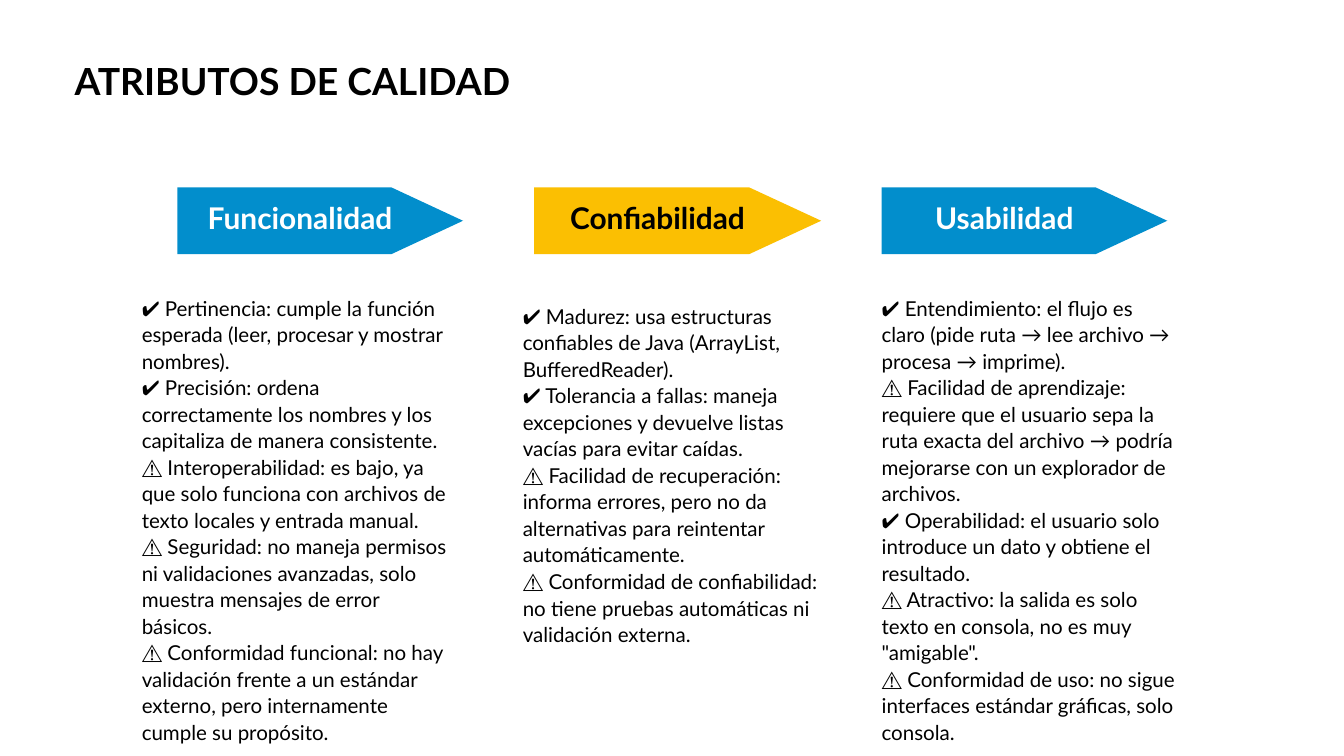
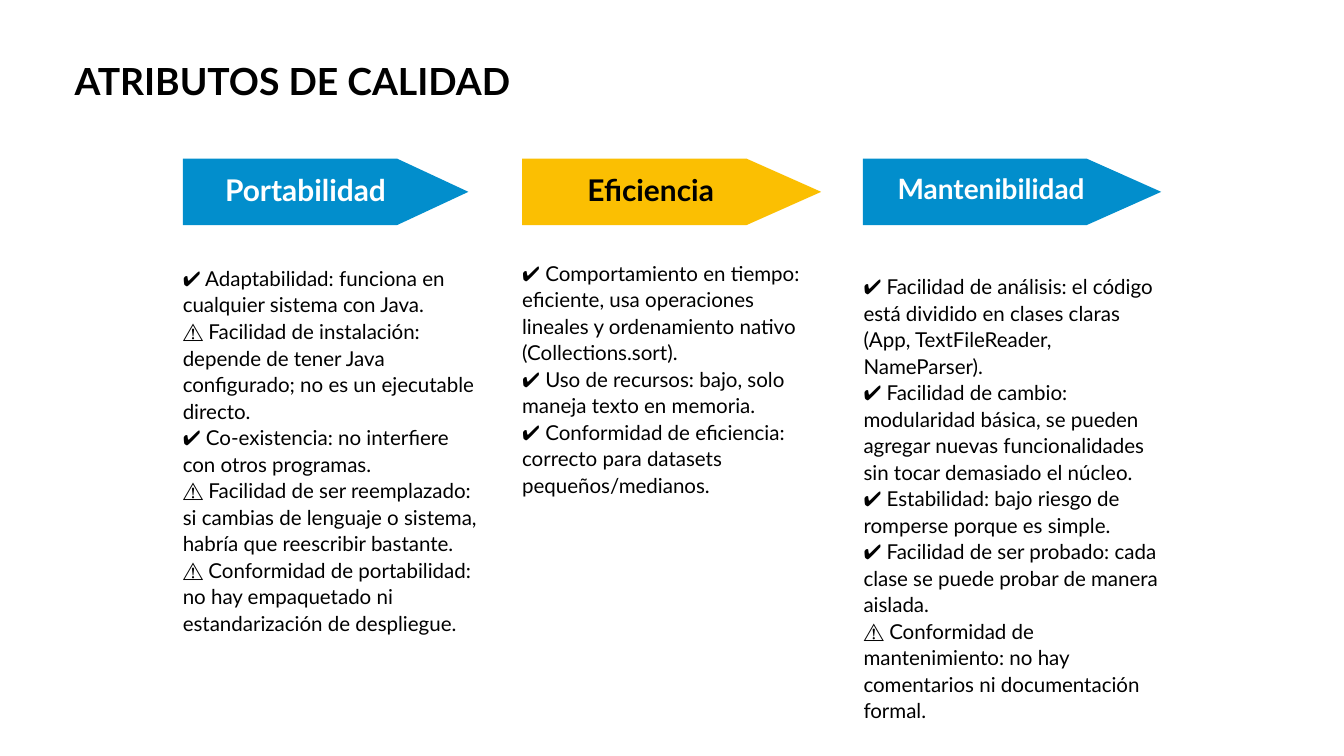
from dataclasses import dataclass

import pptx
import pptx.dml.color
import pptx.enum.text
import pptx.util

Inches = pptx.util.Inches
Pt = pptx.util.Pt
RGBColor = pptx.dml.color.RGBColor
Align = pptx.enum.text.PP_ALIGN
Anchor = pptx.enum.text.MSO_ANCHOR
AutoSize = pptx.enum.text.MSO_AUTO_SIZE

# Shared style
BLUE = RGBColor(0x02, 0x8E, 0xCC)
YELLOW = RGBColor(0xFB, 0xBF, 0x02)
WHITE = RGBColor(0xFF, 0xFF, 0xFF)
BLACK = RGBColor(0x00, 0x00, 0x00)
FONT = "Lato"
TITLE = "ATRIBUTOS DE CALIDAD"
ARROW_HEIGHT = 0.99
TIP_SHARE = 0.25
LABEL_SHARE = 0.86
LABEL_PADDING = 0.06
CRITERIA_LINE = 28.4


@dataclass(frozen=True)
class Area:
    left: float
    top: float
    width: float
    height: float

    def lengths(self) -> list[int]:
        return [Inches(n) for n in (self.left, self.top, self.width, self.height)]


@dataclass(frozen=True)
class TextStyle:
    size: float
    line: float
    color: RGBColor = BLACK
    bold: bool = False
    align: Align = Align.LEFT


@dataclass(frozen=True)
class Attribute:
    name: str
    arrow_left: float
    arrow_width: float
    criteria_area: Area
    criteria: tuple[str, ...]
    fill: RGBColor = BLUE
    label_color: RGBColor = WHITE
    label_size: float = 32
    label_height: float = 1.16
    criteria_inset: float = 0


@dataclass(frozen=True)
class Page:
    arrow_top: float
    attributes: tuple[Attribute, ...]


TITLE_AREA = Area(1.11, 0.76, 13.56, 0.75)
TITLE_STYLE = TextStyle(40, 56, bold=True)
CRITERIA_STYLE = TextStyle(22, CRITERIA_LINE)
LOWERED = CRITERIA_LINE / 72  # one line of space above the criteria

PAGES = (
    Page(2.79, (
        Attribute("Funcionalidad", 2.64, 4.25, Area(2.11, 4.37, 4.57, 6.17), (
            "✔️ Pertinencia: cumple la función esperada (leer, procesar y mostrar nombres).",
            "✔️ Precisión: ordena correctamente los nombres y los capitaliza de manera consistente.",
            "⚠️ Interoperabilidad: es bajo, ya que solo funciona con archivos de texto locales y entrada manual.",
            "⚠️ Seguridad: no maneja permisos ni validaciones avanzadas, solo muestra mensajes de error básicos.",
            "⚠️ Conformidad funcional: no hay validación frente a un estándar externo, "
            "pero internamente cumple su propósito.",
        )),
        Attribute("Confiabilidad", 7.95, 4.27, Area(7.78, 4.1, 4.44, 5.4), (
            "✔️ Madurez: usa estructuras confiables de Java (ArrayList, BufferedReader).",
            "✔️ Tolerancia a fallas: maneja excepciones y devuelve listas vacías para evitar caídas.",
            "⚠️ Facilidad de recuperación: informa errores, pero no da alternativas para reintentar automáticamente.",
            "⚠️ Conformidad de confiabilidad: no tiene pruebas automáticas ni validación externa.",
        ), fill=YELLOW, label_color=BLACK, criteria_inset=LOWERED),
        Attribute("Usabilidad", 13.12, 4.25, Area(13.12, 4.37, 4.44, 6.56), (
            "✔️ Entendimiento: el flujo es claro (pide ruta → lee archivo → procesa → imprime).",
            "⚠️ Facilidad de aprendizaje: requiere que el usuario sepa la ruta exacta del archivo → "
            "podría mejorarse con un explorador de archivos.",
            "✔️ Operabilidad: el usuario solo introduce un dato y obtiene el resultado.",
            '⚠️ Atractivo: la salida es solo texto en consola, no es muy "amigable".',
            "⚠️ Conformidad de uso: no sigue interfaces estándar gráficas, solo consola.",
        )),
    )),
    Page(2.36, (
        Attribute("Portabilidad", 2.72, 4.25, Area(2.72, 3.93, 4.44, 5.4), (
            "✔️ Adaptabilidad: funciona en cualquier sistema con Java.",
            "⚠️ Facilidad de instalación: depende de tener Java configurado; no es un ejecutable directo.",
            "✔️ Co-existencia: no interfiere con otros programas.",
            "⚠️ Facilidad de ser reemplazado: si cambias de lenguaje o sistema, habría que reescribir bastante.",
            "⚠️ Conformidad de portabilidad: no hay empaquetado ni estandarización de despliegue.",
        )),
        Attribute("Eficiencia", 7.77, 4.45, Area(7.77, 3.85, 4.44, 3.47), (
            "✔️ Comportamiento en tiempo: eficiente, usa operaciones lineales y ordenamiento nativo "
            "(Collections.sort).",
            "✔️ Uso de recursos: bajo, solo maneja texto en memoria.",
            "✔️ Conformidad de eficiencia: correcto para datasets pequeños/medianos.",
        ), fill=YELLOW, label_color=BLACK),
        Attribute("Mantenibilidad", 12.84, 4.44, Area(12.85, 3.66, 4.42, 6.94), (
            "✔️ Facilidad de análisis: el código está dividido en clases claras (App, TextFileReader, NameParser).",
            "✔️ Facilidad de cambio: modularidad básica, se pueden agregar nuevas funcionalidades "
            "sin tocar demasiado el núcleo.",
            "✔️ Estabilidad: bajo riesgo de romperse porque es simple.",
            "✔️ Facilidad de ser probado: cada clase se puede probar de manera aislada.",
            "⚠️ Conformidad de mantenimiento: no hay comentarios ni documentación formal.",
        ), label_size=30, label_height=1.18, criteria_inset=LOWERED),
    )),
)


def set_all(target: object, values: dict[str, object]) -> None:
    for name, value in values.items():
        setattr(target, name, value)


def add_text(shapes, area: Area, lines: tuple[str, ...], style: TextStyle,
             padding: float = 0, top_inset: float = 0,
             anchor: Anchor = Anchor.TOP, auto_size: AutoSize = AutoSize.SHAPE_TO_FIT_TEXT) -> None:
    frame = shapes.add_textbox(*area.lengths()).text_frame
    set_all(frame, {
        "word_wrap": True, "auto_size": auto_size, "vertical_anchor": anchor,
        "margin_left": Inches(padding), "margin_right": Inches(padding),
        "margin_top": Inches(padding + top_inset), "margin_bottom": Inches(padding),
    })
    for index, line in enumerate(lines):
        para = frame.add_paragraph() if index else frame.paragraphs[0]
        set_all(para, {"alignment": style.align, "line_spacing": Pt(style.line)})
        span = para.add_run()
        span.text = line
        set_all(span.font, {"name": FONT, "size": Pt(style.size), "bold": style.bold})
        span.font.color.rgb = style.color


def add_arrow(shapes, area: Area, fill: RGBColor) -> None:
    left, top, width, height = area.lengths()
    shoulder = left + round(width * (1 - TIP_SHARE))
    outline = shapes.build_freeform(shoulder, top)
    outline.add_line_segments([
        (left, top), (left, top + height), (shoulder, top + height),
        (left + width, top + height // 2),
    ], close=True)
    arrow = outline.convert_to_shape()
    arrow.shadow.inherit = False
    arrow.fill.solid()
    arrow.fill.fore_color.rgb = fill
    arrow.line.fill.background()


def add_heading(slide, attribute: Attribute, top: float) -> None:
    shapes = slide.shapes.add_group_shape().shapes
    left, width = attribute.arrow_left, attribute.arrow_width
    add_arrow(shapes, Area(left, top, width, ARROW_HEIGHT), attribute.fill)
    # The label shares the bottom edge of its arrow
    label_top = top + ARROW_HEIGHT - attribute.label_height
    style = TextStyle(attribute.label_size, attribute.label_size * 1.4,
                      attribute.label_color, True, Align.CENTER)
    add_text(shapes, Area(left, label_top, width * LABEL_SHARE, attribute.label_height),
             (attribute.name,), style, LABEL_PADDING, anchor=Anchor.MIDDLE, auto_size=AutoSize.NONE)


def add_page(deck, page: Page) -> None:
    slide = deck.slides.add_slide(deck.slide_layouts[6])
    slide.background.fill.solid()
    slide.background.fill.fore_color.rgb = WHITE
    for attribute in page.attributes:
        add_heading(slide, attribute, page.arrow_top)
    for attribute in page.attributes:
        add_text(slide.shapes, attribute.criteria_area, attribute.criteria, CRITERIA_STYLE,
                 top_inset=attribute.criteria_inset)
    add_text(slide.shapes, TITLE_AREA, (TITLE,), TITLE_STYLE)


def main() -> None:
    deck = pptx.Presentation()
    set_all(deck, {"slide_width": Inches(20), "slide_height": Inches(11.25)})
    for page in PAGES:
        add_page(deck, page)
    deck.save("out.pptx")


if __name__ == "__main__":
    main()
